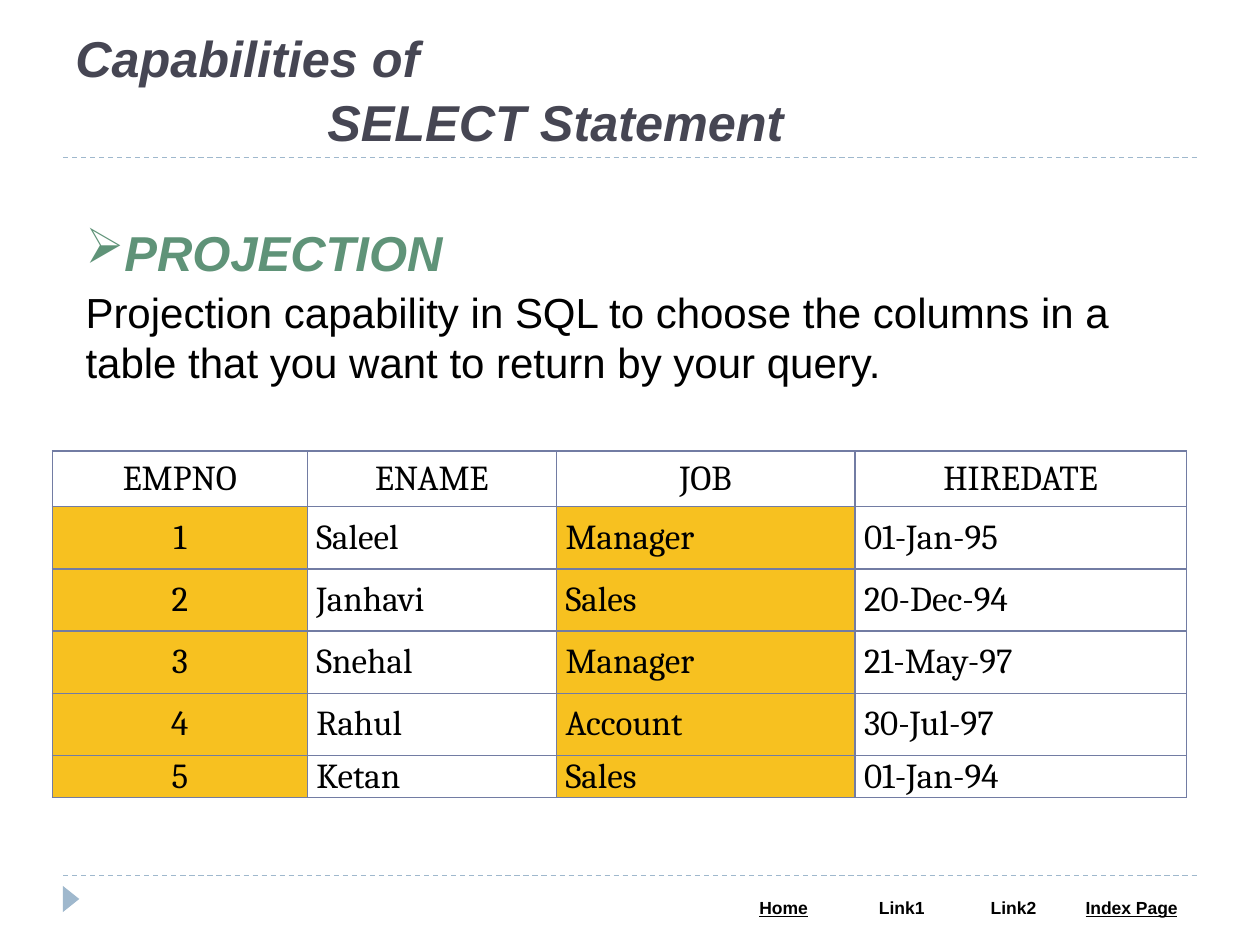
from lxml import etree
from pptx import Presentation
from pptx.dml import color
from pptx.enum import dml, shapes, text
from pptx.oxml import ns
from pptx.util import Pt


def rgb(value):
    return color.RGBColor.from_string(value)


def fill_cell(cell, words, cell_fill, alignment, font, borders):
    if cell_fill:
        cell.fill.solid()
        cell.fill.fore_color.rgb = rgb(cell_fill)
    else:
        cell.fill.background()
    paragraph = cell.text_frame.paragraphs[0]
    paragraph.alignment = alignment
    run = paragraph.add_run()
    run.text = words
    run.font.color.rgb = rgb("000000")
    for name, value in font.items():
        setattr(run.font, name, value)
    properties = cell._tc.get_or_add_tcPr()
    for index, (side, (line_color, width)) in enumerate(borders.items()):
        border = etree.Element(ns.qn("a:" + side), w=str(Pt(width)))
        solid = etree.SubElement(border, ns.qn("a:solidFill"))
        etree.SubElement(solid, ns.qn("a:srgbClr"), val=line_color)
        properties.insert(index, border)


presentation = Presentation()
presentation.slide_width, presentation.slide_height = Pt(720), Pt(540)
slide = presentation.slides.add_slide(presentation.slide_layouts[6])

for y in (500.4, 90):
    rule = slide.shapes.add_connector(shapes.MSO_CONNECTOR.STRAIGHT, Pt(36), Pt(y), Pt(684), Pt(y))
    rule.line.color.rgb = rgb("9FB8CD")
    rule.line.width = Pt(0.75)
    rule.line.dash_style = dml.MSO_LINE.DASH
    etree.SubElement(rule._element.spPr, ns.qn("a:effectLst"))

marker = slide.shapes.add_shape(
    shapes.MSO_SHAPE.ISOSCELES_TRIANGLE, Pt(33.1), Pt(509), Pt(15), Pt(9.4))
marker.rotation = 90
marker.shadow.inherit = False
marker.fill.solid()
marker.fill.fore_color.rgb = rgb("9FB8CD")
marker.line.fill.background()

heading = {"size": Pt(28.8), "bold": True, "italic": True}
topic = {"size": Pt(28), "bold": True, "italic": True}
body = {"size": Pt(24), "bold": False, "italic": False}
text_boxes = [
    ((36, 18, 648, 72), text.MSO_ANCHOR.BOTTOM, [
        ("Capabilities of", heading, "464653", {}, {}),
        ("SELECT Statement", heading, "464653", {"space_before": Pt(2)},
         {"marL": str(Pt(144)), "indent": "0"}),
    ]),
    ((41.8, 90, 648, 133), text.MSO_ANCHOR.TOP, [
        ("PROJECTION", topic, "5F9378", {"line_spacing": 2.0}, {"marL": "0", "indent": "0"}),
        ("Projection capability in SQL to choose the columns in a table "
         "that you want to return by your query.", body, "000000", {"space_before": Pt(3)}, {}),
    ]),
]
for box, anchor, paragraphs in text_boxes:
    shape = slide.shapes.add_textbox(*map(Pt, box))
    frame = shape.text_frame
    frame.word_wrap = True
    frame.vertical_anchor = anchor
    for index, (words, font, font_color, spacing, indents) in enumerate(paragraphs):
        paragraph = frame.add_paragraph() if index else frame.paragraphs[0]
        run = paragraph.add_run()
        run.text = words
        run.font.name = "Arial"
        run.font.color.rgb = rgb(font_color)
        for name, value in font.items():
            setattr(run.font, name, value)
        for name, value in spacing.items():
            setattr(paragraph, name, value)
        properties = paragraph._p.get_or_add_pPr()
        for name, value in indents.items():
            properties.set(name, value)
        if words == "PROJECTION":
            etree.SubElement(properties, ns.qn("a:buChar"), char="➢")

center, left = text.PP_ALIGN.CENTER, text.PP_ALIGN.LEFT
links = ["Home", "Link1", "Link2", "Index Page"]
employees = [
    ("EMPNO", "ENAME", "JOB", "HIREDATE"),
    ("1", "Saleel", "Manager", "01-Jan-95"),
    ("2", "Janhavi", "Sales", "20-Dec-94"),
    ("3", "Snehal", "Manager", "21-May-97"),
    ("4", "Rahul", "Account", "30-Jul-97"),
    ("5", "Ketan", "Sales", "01-Jan-94"),
]
tables = []
for rows, box, widths, heights in (
    ([links], (414, 509.8, 270, 19.4), (67.5, 67.5, 60.3, 74.7), (19.4,)),
    (employees, (30, 257.8, 648, 198), (145.6, 142.4, 170.6, 189.4),
     (31.7, 35.6, 35.6, 35.6, 35.6, 23.9)),
):
    table = slide.shapes.add_table(len(rows), len(widths), *map(Pt, box)).table
    table.first_row = table.horz_banding = False
    for column, width in zip(table.columns, widths):
        column.width = Pt(width)
    for row, height in zip(table.rows, heights):
        row.height = Pt(height)
    tables.append(table)
link_table, employee_table = tables

white_borders = {"lnL": ("FFFFFF", 1), "lnR": ("FFFFFF", 1),
                 "lnT": ("FFFFFF", 1), "lnB": ("FFFFFF", 3)}
for index, link in enumerate(links):
    font = {"name": "Arial", "size": Pt(10), "bold": True, "underline": index in (0, 3)}
    fill_cell(link_table.cell(0, index), link, "FFFFFF", center, font, white_borders)

grid_borders = dict.fromkeys(("lnL", "lnR", "lnT", "lnB"), ("727CA3", 1))
cell_format = {"margin_left": Pt(5.2), "margin_right": Pt(5.2), "margin_top": 0,
               "margin_bottom": 0, "vertical_anchor": text.MSO_ANCHOR.MIDDLE}
for row_index, employee in enumerate(employees):
    for column_index, words in enumerate(employee):
        cell = employee_table.cell(row_index, column_index)
        for name, value in cell_format.items():
            setattr(cell, name, value)
        projected = row_index > 0 and column_index in (0, 2)
        centered = row_index == 0 or column_index == 0
        fill_cell(cell, words, "F7C120" if projected else None, center if centered else left,
                  {"name": "Cambria", "size": Pt(20)}, grid_borders)

presentation.save("out.pptx")
